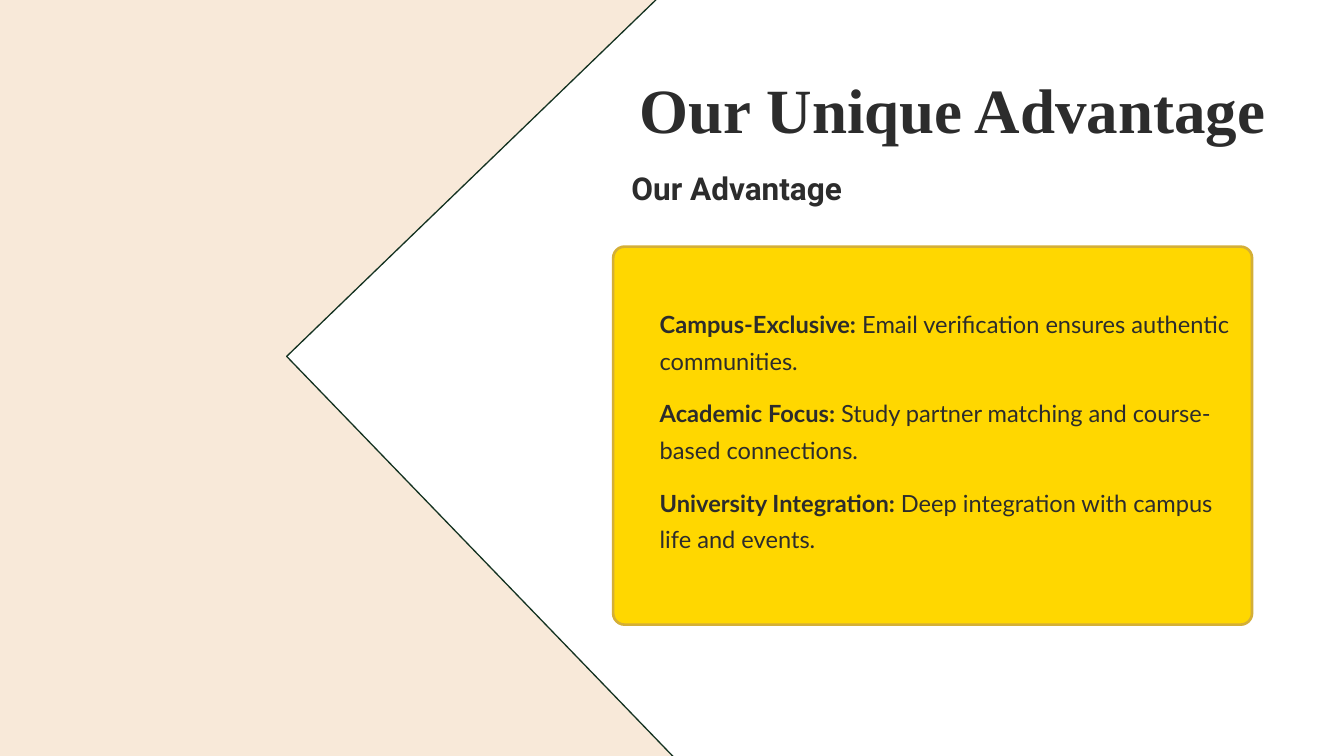
from pptx import Presentation
from pptx.dml.color import RGBColor
from pptx.enum.shapes import MSO_SHAPE
from pptx.enum.text import MSO_ANCHOR, PP_ALIGN
from pptx.util import Cm, Pt

PIE = MSO_SHAPE.PIE
RECT = MSO_SHAPE.RECTANGLE
ROUND = MSO_SHAPE.ROUNDED_RECTANGLE
MIDDLE = MSO_ANCHOR.MIDDLE
LEFT = PP_ALIGN.LEFT
CENTER = PP_ALIGN.CENTER

INK = RGBColor(0x2C, 0x2C, 0x2C)
CREAM = RGBColor(0xF8, 0xE9, 0xD9)
FOREST = RGBColor(0x14, 0x32, 0x21)
GOLD = RGBColor(0xFF, 0xD7, 0x00)
BRONZE = RGBColor(0xD4, 0xAF, 0x37)

POINTS = [
    ("Campus-Exclusive:", " Email verification ensures authentic communities."),
    ("Academic Focus:", " Study partner matching and course-based connections."),
    ("University Integration:", " Deep integration with campus life and events."),
]


def write(frame, bold, plain="", font="Lato", size=18, space=1.0, align=LEFT):
    frame.word_wrap = True
    frame.vertical_anchor = MIDDLE
    frame.margin_left = frame.margin_right = 0
    frame.margin_top = frame.margin_bottom = 0
    para = frame.paragraphs[0]
    para.alignment = align
    para.line_spacing = space
    for text, heavy in ((bold, True), (plain, False)):
        if text:
            run = para.add_run()
            run.text = text
            run.font.name = font
            run.font.size = Pt(size)
            run.font.bold = heavy
            run.font.color.rgb = INK


class Deck:
    def __init__(self, width, height):
        self.show = Presentation()
        self.show.slide_width = Cm(width)
        self.show.slide_height = Cm(height)
        self.slide = self.show.slides.add_slide(self.show.slide_layouts[5])

    def shape(self, kind, left, top, width, height, fill, line=None, weight=1):
        item = self.slide.shapes.add_shape(
            kind, Cm(left), Cm(top), Cm(width), Cm(height))
        item.shadow.inherit = False
        item.fill.solid()
        item.fill.fore_color.rgb = fill
        if line is None:
            item.line.fill.background()
        else:
            item.line.color.rgb = line
            item.line.width = Pt(weight)
        return item

    def title(self, text, left, top, width, height, **style):
        item = self.slide.shapes.title
        item.left, item.top = Cm(left), Cm(top)
        item.width, item.height = Cm(width), Cm(height)
        item.element.getparent().append(item.element)
        write(item.text_frame, text, **style)

    def text(self, text, left, top, width, height, **style):
        item = self.slide.shapes.add_textbox(
            Cm(left), Cm(top), Cm(width), Cm(height))
        write(item.text_frame, text, **style)

    def point(self, head, body, left, top, width, height):
        item = self.shape(RECT, left, top, width, height, GOLD)
        write(item.text_frame, head, body, space=1.3)


def main():
    deck = Deck(36.12, 20.32)
    wedge = deck.shape(PIE, -14, -12.29, 43.41, 43.74, CREAM, FOREST)
    wedge.rotation = 46
    deck.title("Our Unique Advantage", 8.18, 2.26, 34.85, 1.7,
               font="Times New Roman", size=48, space=0.8, align=CENTER)
    panel = deck.shape(ROUND, 16.48, 6.63, 17.17, 10.16, GOLD, BRONZE, 2)
    panel.adjustments[0] = 0.03
    deck.text("Our Advantage", 16.97, 4.45, 15.82, 1.12,
              font="Roboto", size=24, space=1.1)
    for row, (head, body) in enumerate(POINTS):
        deck.point(head, body, 17.73, 8.1 + 2.4 * row, 15.72, 1.98)
    deck.show.save("out.pptx")


if __name__ == "__main__":
    main()
